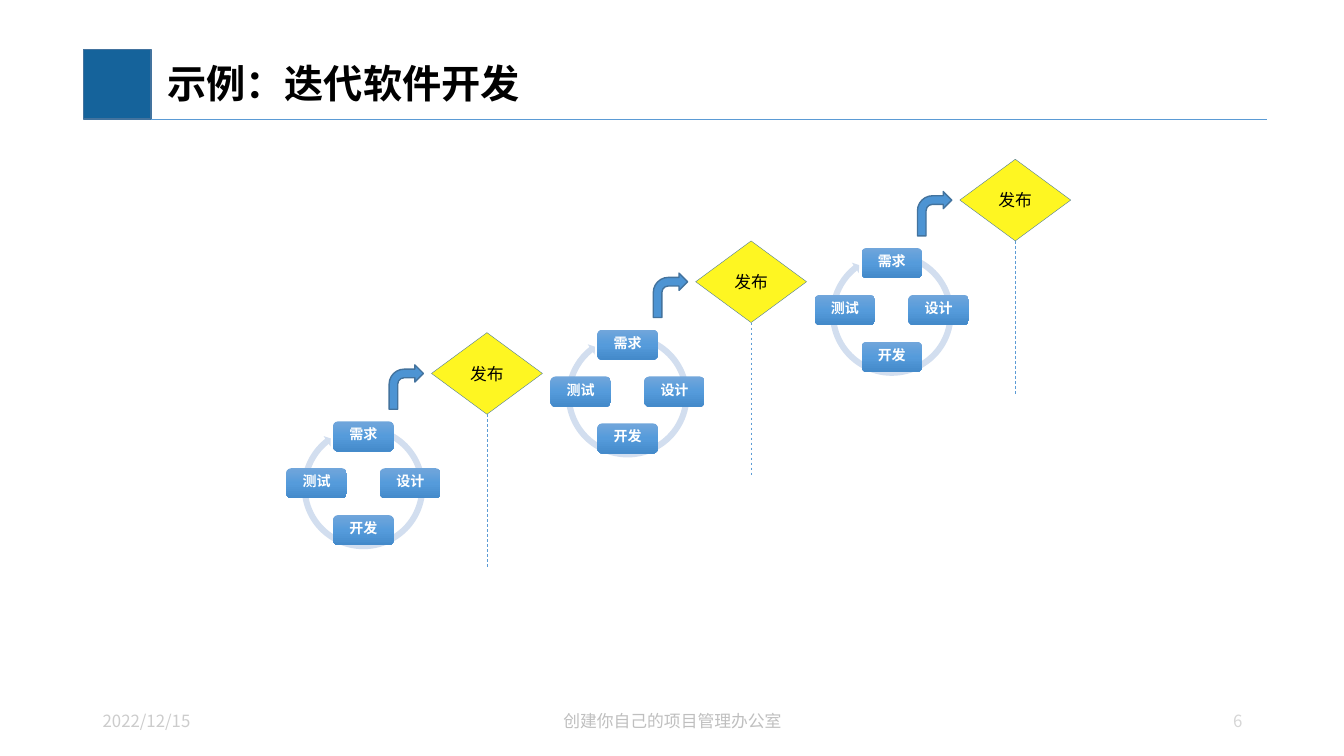
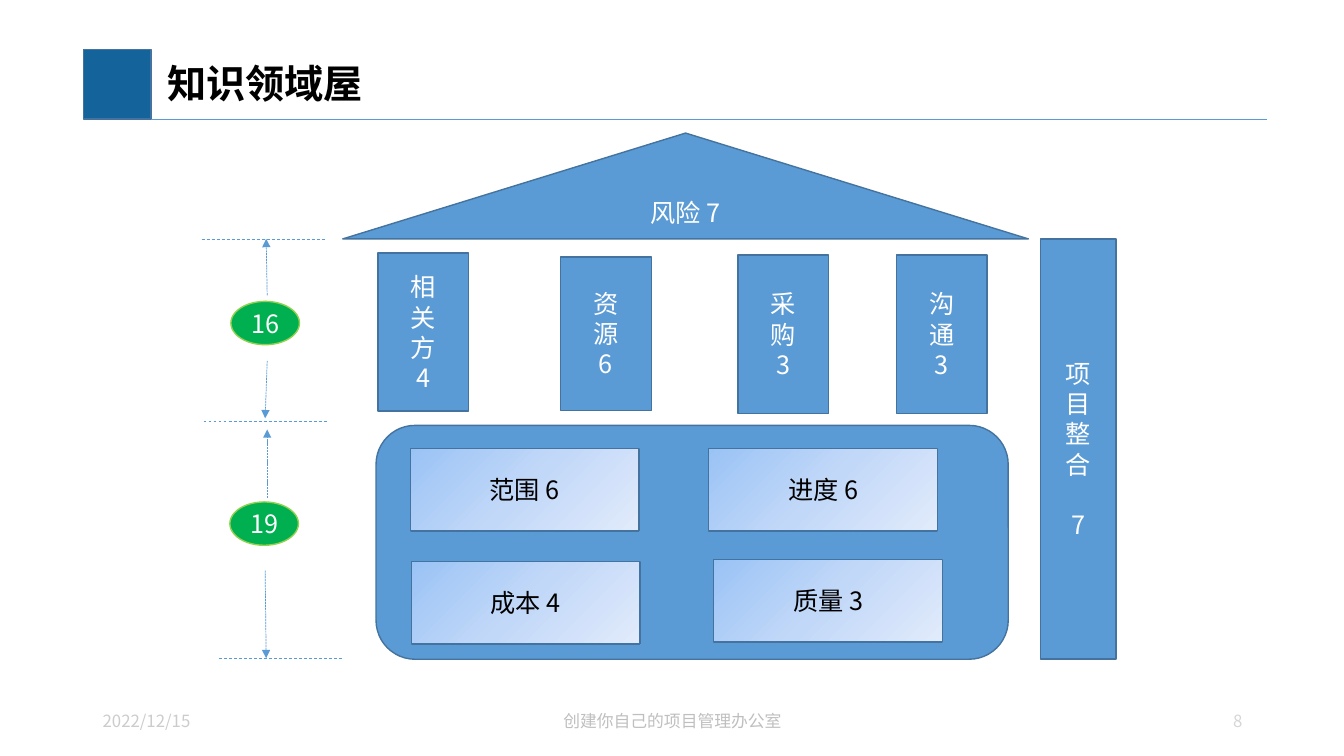
import copy

import pptx
import pptx.util
import pptx.dml.color
import pptx.enum.dml
import pptx.enum.shapes
import pptx.enum.text
import pptx.oxml
import pptx.oxml.ns

Inches = pptx.util.Inches
SHAPE = pptx.enum.shapes.MSO_SHAPE
DASH = pptx.enum.dml.MSO_LINE
ALIGN = pptx.enum.text.PP_ALIGN
qn = pptx.oxml.ns.qn

FONT = "Noto Sans CJK SC"
COLORS = {
    "accent": "15639B", "blue": "5B9BD5", "outline": "43739E",
    "ring": "D2DEEF", "bent": "4D94D3", "release": "FEF622",
    "green": "00B050", "lime": "92D050", "black": "000000", "white": "FFFFFF",
    "date": "CCCCCC", "footer": "BFBFBF", "number": "D6D6D6",
}
STAGE_GRADIENT = (["71A6DB", "559BDB", "448ACA"], 90)
AREA_GRADIENT = (["9AC3F5", "C2D8F8", "E1EBFB"], 45)


def rgb(value):
    return pptx.dml.color.RGBColor.from_string(COLORS.get(value, value))


def write_text(shape, text, size=18, color="white", bold=False,
               align=ALIGN.CENTER, spacing=None, insets=None):
    """Write one paragraph per line of text and return the paragraphs."""
    frame = shape.text_frame
    frame.word_wrap = True
    frame.auto_size = pptx.enum.text.MSO_AUTO_SIZE.NONE
    frame.vertical_anchor = pptx.enum.text.MSO_ANCHOR.MIDDLE
    left, top, right, bottom = insets or (0.1, 0.05, 0.1, 0.05)
    frame.margin_left, frame.margin_right = Inches(left), Inches(right)
    frame.margin_top, frame.margin_bottom = Inches(top), Inches(bottom)
    frame.text = text
    for paragraph in frame.paragraphs:
        paragraph.alignment = align
        if spacing:
            paragraph.line_spacing = spacing
        for run in paragraph.runs:
            run.font.name = FONT
            run.font.size = pptx.util.Pt(size)
            run.font.bold = bold
            run.font.color.rgb = rgb(color)
            east_asian = pptx.oxml.parse_xml(
                f'<a:ea {pptx.oxml.ns.nsdecls("a")} typeface="{FONT}"/>')
            run.font.fill  # the fill precedes the typefaces
            run.font._element.find(qn("a:latin")).addnext(east_asian)
    return frame.paragraphs


def fill_gradient(shape, stops, angle):
    """Fill with three evenly spaced colours; the angle runs clockwise."""
    shape.fill.gradient()
    shape.fill.gradient_angle = 360 - angle
    stop_list = shape.element.spPr.find(qn("a:gradFill")).find(qn("a:gsLst"))
    stop_list.append(copy.deepcopy(stop_list[0]))
    for index, stop in enumerate(shape.fill.gradient_stops):
        stop.color.rgb = rgb(stops[index])
        stop.position = index / 2


def add_box(shapes, kind, box, fill="blue", outline="outline", weight=1,
            text=None, **text_format):
    shape = shapes.add_shape(kind, *map(Inches, box))
    shape.shadow.inherit = False
    if isinstance(fill, tuple):
        fill_gradient(shape, *fill)
    else:
        shape.fill.solid()
        shape.fill.fore_color.rgb = rgb(fill)
    if outline:
        shape.line.color.rgb = rgb(outline)
        shape.line.width = pptx.util.Pt(weight)
    else:
        shape.line.fill.background()
    if text:
        write_text(shape, text, **text_format)
    return shape


def add_line(slide, start, end, dash=None, arrow=False, start_shape=None):
    """Draw a thin line, optionally from the bottom of start_shape."""
    line = slide.shapes.add_connector(
        pptx.enum.shapes.MSO_CONNECTOR.STRAIGHT, *map(Inches, (*start, *end)))
    if start_shape:
        line.begin_connect(start_shape, 2)
    line.line.color.rgb = rgb("blue")
    line.line.width = pptx.util.Pt(0.5)
    if dash:
        line.line.dash_style = dash
    properties = line.element.spPr
    namespace = pptx.oxml.ns.nsdecls("a")
    if arrow:
        properties.find(qn("a:ln")).append(
            pptx.oxml.parse_xml(f'<a:tailEnd {namespace} type="triangle"/>'))
    properties.append(pptx.oxml.parse_xml(f"<a:effectLst {namespace}/>"))
    return line


def prepare_layout(layout, slide):
    """Place the title and move the title band into the shared layout."""
    title = layout.placeholders[0]
    title.left, title.top = Inches(1.5), Inches(0.5)
    title.width, title.height = Inches(10.92), Inches(0.7)
    square = add_box(slide.shapes, SHAPE.RECTANGLE, (0.83, 0.49, 0.67, 0.69),
                     fill="accent")
    rule = add_line(slide, (1.5, 1.18), (12.57, 1.18))
    for part in (square, rule):
        layout.shapes.element.append(part.element)


def add_title_and_footer(slide, title, number):
    write_text(slide.shapes.title, title, size=28, color="black", bold=True,
               align=ALIGN.LEFT, spacing=0.9, insets=(0.16, 0.05, 0.1, 0.05))
    footers = [
        ((0.92, 6.95, 3, 0.4), "2022/12/15", "date", ALIGN.LEFT),
        ((4.42, 6.95, 4.5, 0.4), "创建你自己的项目管理办公室", "footer", ALIGN.CENTER),
        ((9.33, 6.94, 3.09, 0.42), number, "number", ALIGN.RIGHT),
    ]
    for box, text, color, align in footers:
        text_box = slide.shapes.add_textbox(*map(Inches, box))
        write_text(text_box, text, size=12, color=color, align=align)


def add_iteration(slide, left, top):
    """One development cycle, followed by its release."""
    # Cycle
    cycle = slide.shapes.add_group_shape().shapes
    ring = add_box(cycle, SHAPE.CIRCULAR_ARROW,
                   (left + 0.12, top + 0.01, 1.29, 1.29), "ring", None)
    for index, value in enumerate((0.047, 2.729, 139.03, 173.439, 0.048)):
        ring.adjustments[index] = value
    stages = [("需求", 1, 0), ("设计", 2, 1), ("开发", 1, 2), ("测试", 0, 1)]
    pitch = 0.465
    for text, column, row in stages:
        add_box(cycle, SHAPE.ROUNDED_RECTANGLE,
                (left + column * pitch, top + row * pitch, 0.6, 0.3),
                STAGE_GRADIENT, None, text=text, size=10, bold=True,
                spacing=0.9, insets=(0.04, 0.03, 0.04, 0.05))
    # Release
    add_box(slide.shapes, SHAPE.BENT_ARROW,
            (left + 1.02, top - 0.56, 0.34, 0.44), "bent")
    release = add_box(slide.shapes, SHAPE.DIAMOND,
                      (left + 1.44, top - 0.88, 1.1, 0.81), "release",
                      weight=0.25, text="发布", size=12, color="black")
    middle = left + 1.99
    add_line(slide, (middle, top - 0.07), (middle, top + 1.45), DASH.DASH,
             start_shape=release)


def add_house(slide, left, top):
    """Roof, pillars, foundation and side wall of the knowledge areas."""
    def place(kind, x, y, width, height, **options):
        return add_box(slide.shapes, kind, (left + x, top + y, width, height),
                       **options)

    # Roof and pillars
    place(SHAPE.ISOSCELES_TRIANGLE, 0, 0, 6.8, 1.05, text="风险 7")
    pillars = [("相\n关\n方\n4", 0.35, 1.19, 1.57), ("资\n源\n6", 2.16, 1.23, 1.52),
               ("采\n购\n3", 3.92, 1.21, 1.57), ("沟\n通\n3", 5.49, 1.21, 1.57)]
    for text, x, y, height in pillars:
        place(SHAPE.RECTANGLE, x, y, 0.9, height, text=text)
    # Foundation and side wall
    place(SHAPE.ROUNDED_RECTANGLE, 0.33, 2.9, 6.27, 2.32)
    wall = place(SHAPE.RECTANGLE, 6.92, 1.05, 0.75, 4.17)
    wall_lines = write_text(wall, "项\n目\n整\n合\n7")
    wall_lines[-1].space_before = pptx.util.Pt(21.6)
    # Areas in the foundation
    areas = [("范围 6", 0.67, 3.13), ("进度 6", 3.63, 3.13),
             ("成本 4", 0.68, 4.25), ("质量 3", 3.68, 4.23)]
    for text, x, y in areas:
        place(SHAPE.RECTANGLE, x, y, 2.27, 0.82, fill=AREA_GRADIENT,
              text=text, color="black")


def add_scale(slide, left, top):
    """Dashed levels with arrows and a total for each storey."""
    for x, y in ((0, 0), (0.02, 1.81), (0.17, 4.16)):
        add_line(slide, (left + x, top + y), (left + x + 1.23, top + y), DASH.DASH)
    arrows = [(0.65, 0.56, 0.64, 0), (0.65, 2.57, 0.65, 1.89),
              (0.63, 3.29, 0.64, 4.16), (0.65, 1.21, 0.63, 1.78)]
    for x1, y1, x2, y2 in arrows:
        add_line(slide, (left + x1, top + y1), (left + x2, top + y2),
                 DASH.SQUARE_DOT, arrow=True)
    for text, x, y in (("16", 0.29, 0.62), ("19", 0.28, 2.61)):
        add_box(slide.shapes, SHAPE.OVAL, (left + x, top + y, 0.68, 0.43),
                "green", "lime", text=text, insets=(0, 0, 0, 0))


def main():
    presentation = pptx.Presentation()
    presentation.slide_width = Inches(13.33)
    presentation.slide_height = Inches(7.5)
    layout = presentation.slide_layouts[5]

    # Iterative development
    slide = presentation.slides.add_slide(layout)
    prepare_layout(layout, slide)
    add_title_and_footer(slide, "示例：迭代软件开发", "6")
    for index, top in enumerate((4.18, 3.27, 2.46)):
        add_iteration(slide, 2.84 + index * 2.62, top)

    # House of knowledge areas
    slide = presentation.slides.add_slide(layout)
    add_title_and_footer(slide, "知识领域屋", "8")
    add_house(slide, 3.4, 1.32)
    add_scale(slide, 2, 2.37)

    presentation.save("out.pptx")


if __name__ == "__main__":
    main()
